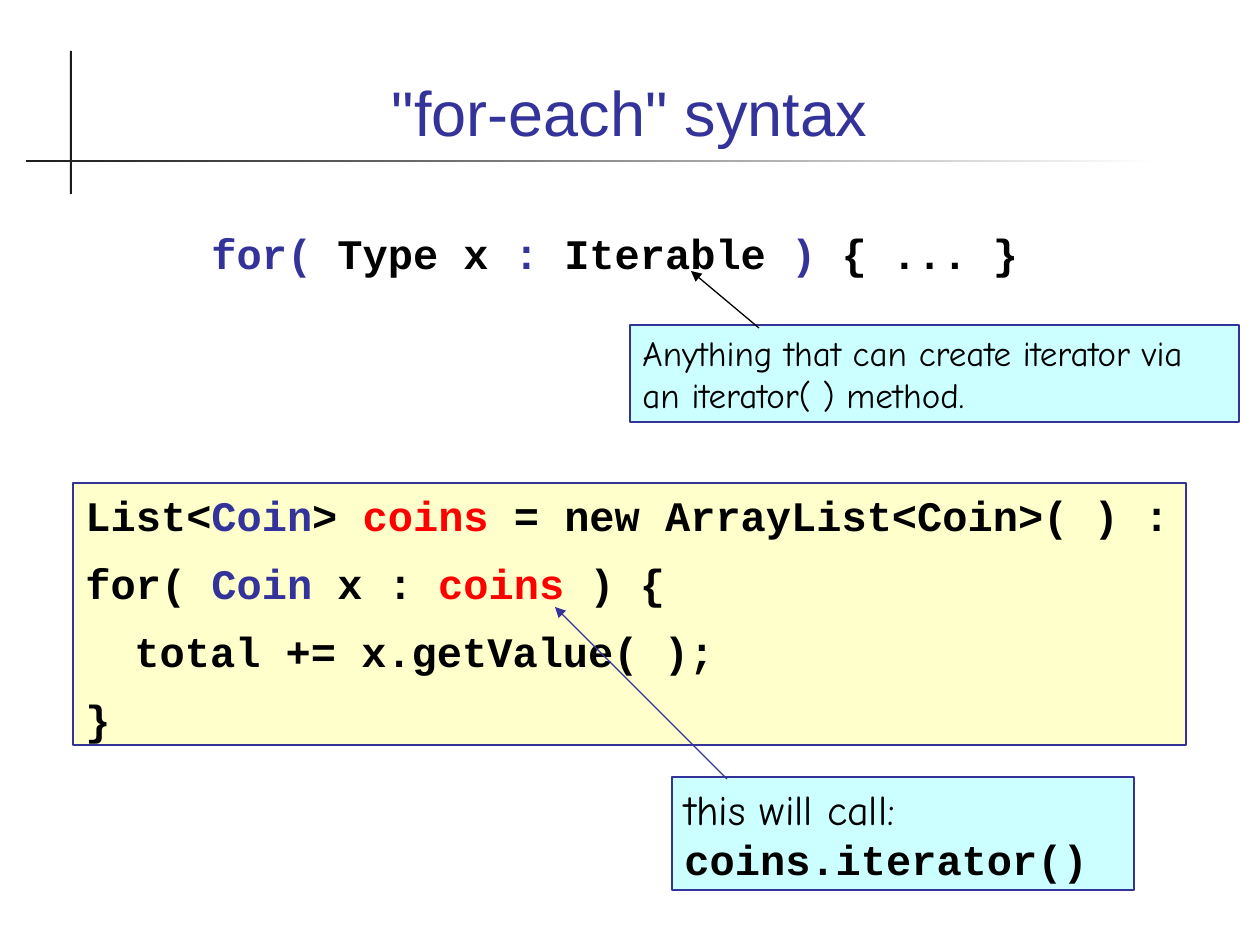
from dataclasses import dataclass

import pptx
import pptx.dml.color
import pptx.enum.shapes
import pptx.enum.text
import pptx.oxml
import pptx.oxml.ns
import pptx.util

PX_PER_INCH = 126
INDIGO, BLACK, RED, DARK, WHITE = "333399", "000000", "FF0000", "1C1C1C", "FFFFFF"
CREAM, AQUA = "FFFFCC", "CCFFFF"
MONO = {"name": "Courier New", "size": pptx.util.Pt(24), "bold": True}
HAND = {"name": "Comic Neue", "size": pptx.util.Pt(24), "bold": False}
SMALL_HAND = HAND | {"size": pptx.util.Pt(20)}


@dataclass
class Span:
    text: str
    color: str = BLACK
    font: dict | None = None


@dataclass
class Panel:
    box: tuple[int, int, int, int]
    lines: list[list[Span]]
    font: dict
    fill: str | None = None
    tab: int = 0
    gap: float = 0


@dataclass
class Arrow:
    start: tuple[int, int]
    end: tuple[int, int]
    color: str


PANELS = [
    Panel((73, 483, 1113, 262), [
        [Span("List<"), Span("Coin", INDIGO), Span("> "), Span("coins", RED),
         Span(" = new ArrayList<Coin>( ) :")],
        [Span("for( "), Span("Coin", INDIGO), Span(" x : "), Span("coins", RED), Span(" ) {")],
        [Span("\ttotal += x.getValue( );")],
        [Span("}")],
    ], MONO, CREAM, tab=49, gap=10.2),
    Panel((73, 221, 1103, 63), [
        [Span("\tfor(", INDIGO), Span(" Type x "), Span(":", INDIGO), Span(" Iterable "),
         Span(")", INDIGO), Span(" { ... }")],
    ], MONO, tab=126),
    Panel((672, 777, 462, 113), [
        [Span("this will call: "), Span("coins.iterator()", font=MONO)],
    ], HAND, AQUA),
    Panel((630, 325, 609, 97), [
        [Span("Anything that can create iterator via an iterator( ) method.")],
    ], SMALL_HAND, AQUA),
]
ARROWS = [
    Arrow((727, 779), (555, 607), INDIGO),
    Arrow((759, 328), (691, 271), BLACK),
]


def px(length: int) -> int:
    return round(length * pptx.util.Inches(1) / PX_PER_INCH)


def rgb(color: str) -> pptx.dml.color.RGBColor:
    return pptx.dml.color.RGBColor.from_string(color)


def format_font(font, values: dict, color: str) -> None:
    for name, value in values.items():
        setattr(font, name, value)
    font.color.rgb = rgb(color)


def add_tab_stop(paragraph, position: int) -> None:
    properties = paragraph._p.get_or_add_pPr()
    properties.append(pptx.oxml.parse_xml(
        f'<a:tabLst {pptx.oxml.ns.nsdecls("a")}><a:tab pos="{px(position)}" algn="l"/></a:tabLst>'))


def add_panel(slide, panel: Panel) -> None:
    box = slide.shapes.add_textbox(*map(px, panel.box))
    if panel.fill:
        box.fill.solid()
        box.fill.fore_color.rgb = rgb(panel.fill)
        box.line.color.rgb = rgb(INDIGO)
        box.line.width = pptx.util.Pt(0.75)
    frame = box.text_frame
    frame.word_wrap = True
    for index, spans in enumerate(panel.lines):
        paragraph = frame.add_paragraph() if index else frame.paragraphs[0]
        if index:
            paragraph.space_before = pptx.util.Pt(panel.gap)
        if panel.tab:
            add_tab_stop(paragraph, panel.tab)
        for span in spans:
            run = paragraph.add_run()
            run.text = span.text
            format_font(run.font, span.font or panel.font, span.color)


def add_arrow(slide, arrow: Arrow) -> None:
    connector = slide.shapes.add_connector(
        pptx.enum.shapes.MSO_CONNECTOR.STRAIGHT, *map(px, arrow.start + arrow.end))
    connector.line.color.rgb = rgb(arrow.color)
    connector.line.width = pptx.util.Pt(0.75)
    namespace = pptx.oxml.ns.nsdecls("a")
    connector.line._get_or_add_ln().append(
        pptx.oxml.parse_xml(f'<a:tailEnd {namespace} type="triangle"/>'))
    connector._element.spPr.append(pptx.oxml.parse_xml(f"<a:effectLst {namespace}/>"))


def add_rule(slide, box: tuple[int, int, int, int]):
    rule = slide.shapes.add_shape(pptx.enum.shapes.MSO_SHAPE.RECTANGLE, *map(px, box))
    rule.shadow.inherit = False
    rule.line.fill.background()
    return rule


def add_title_rules(slide) -> None:
    upright = add_rule(slide, (70, 51, 2, 143))
    upright.fill.solid()
    upright.fill.fore_color.rgb = rgb(DARK)
    fading = add_rule(slide, (26, 160, 1132, 2))
    fading.fill.gradient()
    fading.fill.gradient_angle = 0
    for stop, color in zip(fading.fill.gradient_stops, (DARK, WHITE)):
        stop.color.rgb = rgb(color)


def set_title(slide, text: str) -> None:
    title = slide.shapes.title
    title.left, title.top, title.width, title.height = map(px, (84, 35, 1091, 120))
    title.text_frame.text = text
    title.text_frame.vertical_anchor = pptx.enum.text.MSO_ANCHOR.BOTTOM
    title.text_frame.auto_size = pptx.enum.text.MSO_AUTO_SIZE.NONE
    paragraph = title.text_frame.paragraphs[0]
    paragraph.alignment = pptx.enum.text.PP_ALIGN.CENTER
    format_font(paragraph.runs[0].font, {"name": "Arial", "size": pptx.util.Pt(36)}, INDIGO)


def main() -> None:
    deck = pptx.Presentation()
    deck.slide_width, deck.slide_height = px(1260), px(945)
    slide = deck.slides.add_slide(deck.slide_layouts.get_by_name("Title Only"))
    add_title_rules(slide)
    set_title(slide, '"for-each" syntax')
    for panel in PANELS:
        add_panel(slide, panel)
    for arrow in ARROWS:
        add_arrow(slide, arrow)
    deck.save("out.pptx")


if __name__ == "__main__":
    main()
